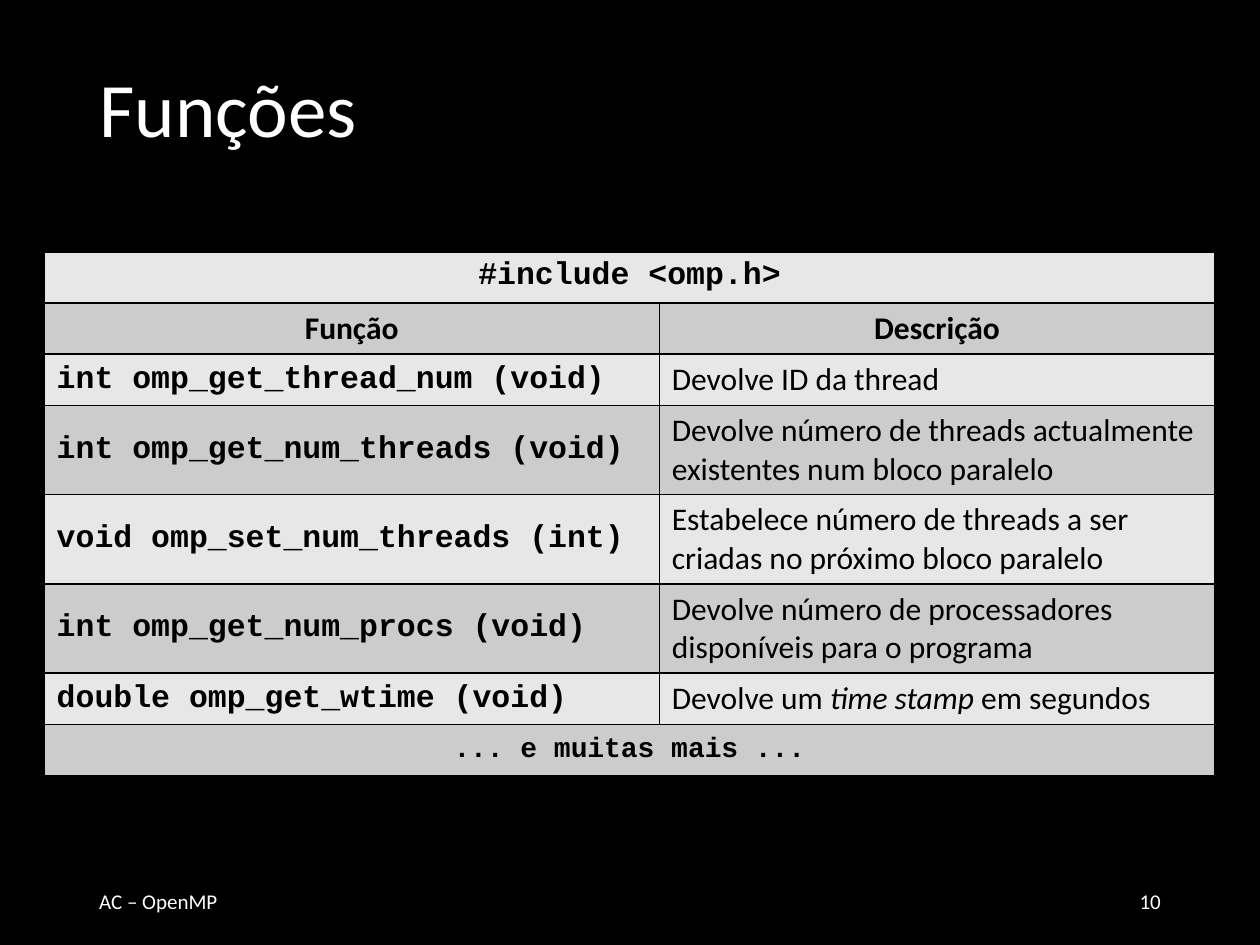
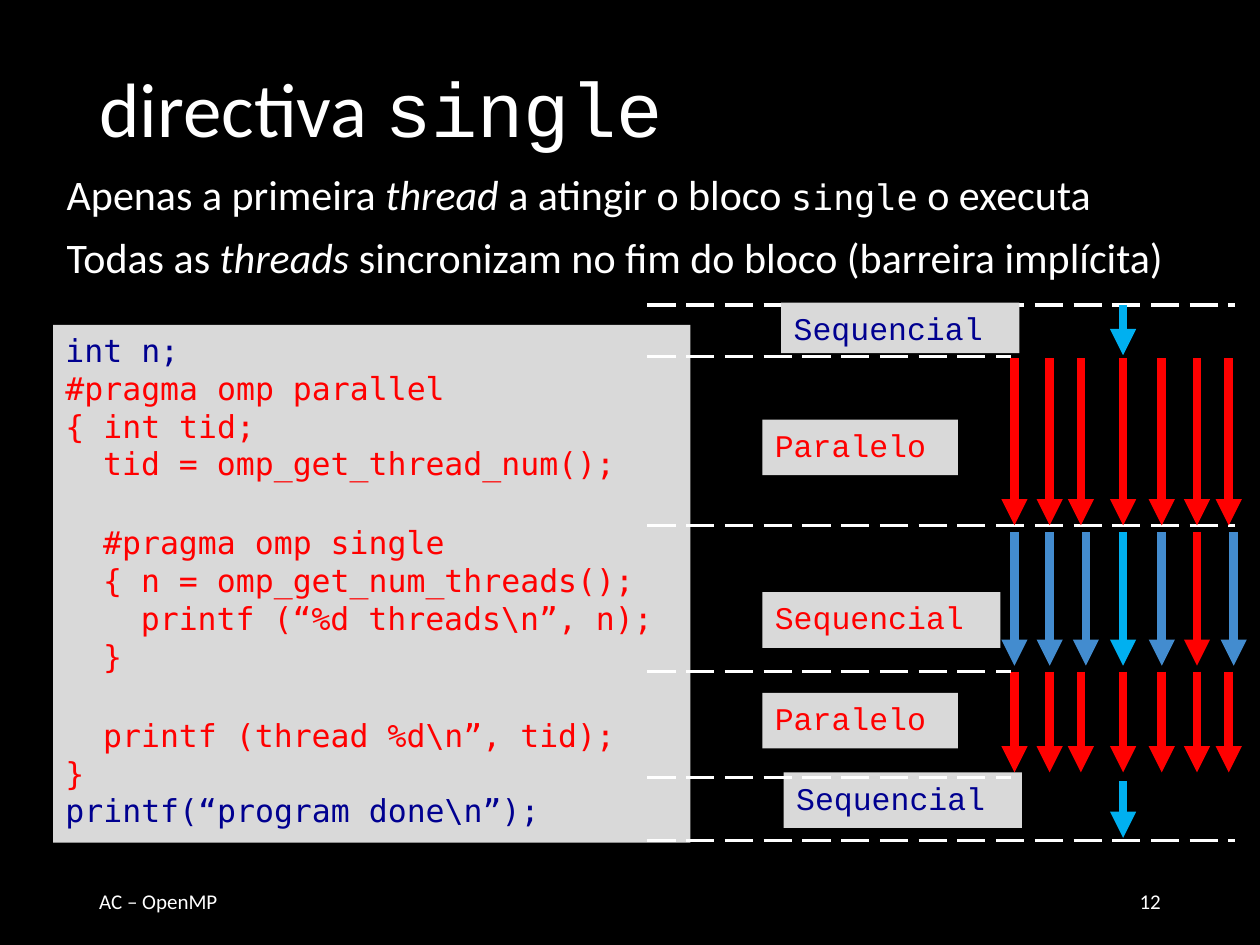
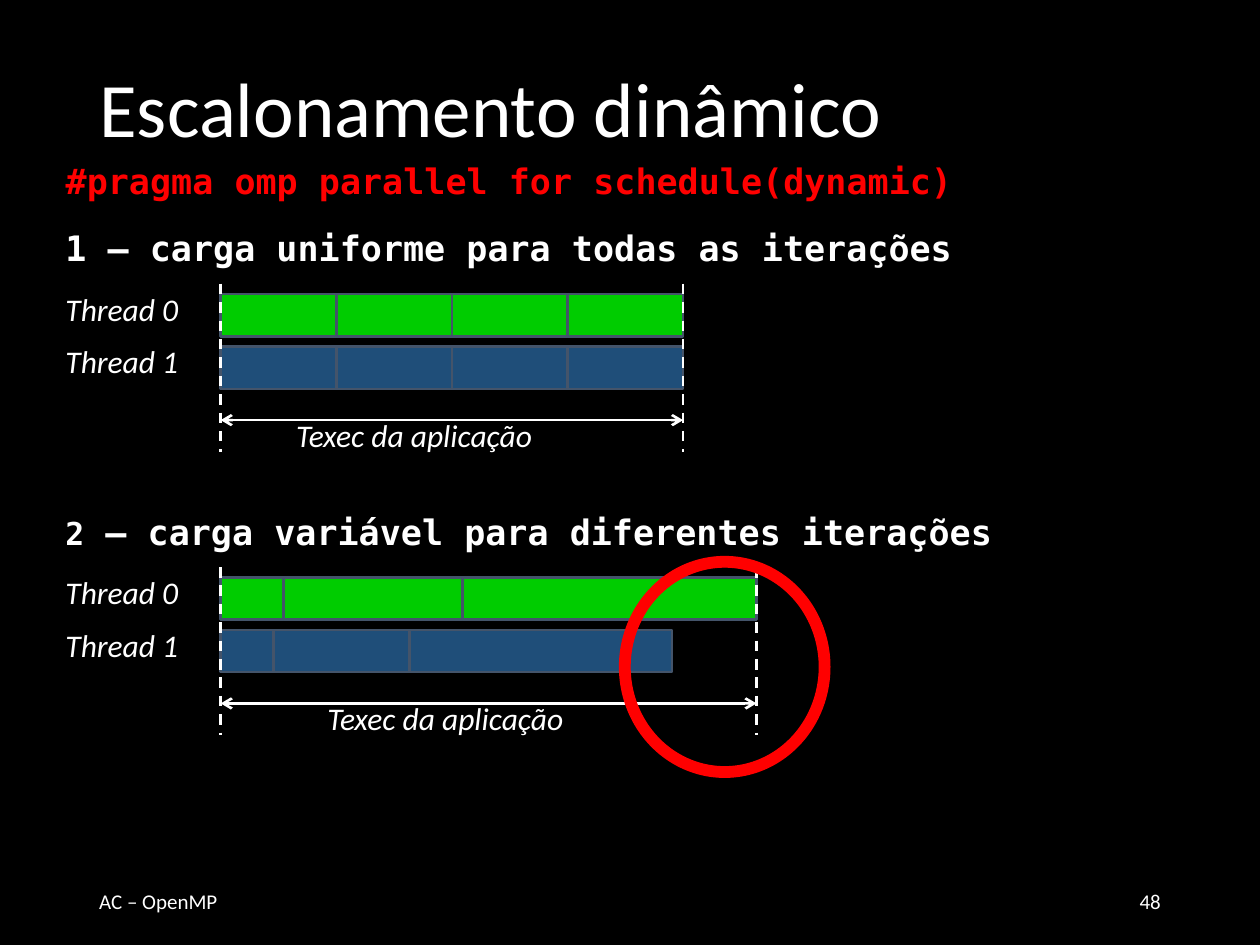
from dataclasses import dataclass
from itertools import accumulate
from typing import Optional

from lxml.etree import SubElement
from pptx import Presentation
from pptx.dml.color import RGBColor
from pptx.enum.dml import MSO_LINE
from pptx.enum.shapes import MSO_CONNECTOR, MSO_SHAPE
from pptx.enum.text import MSO_ANCHOR, MSO_AUTO_SIZE, PP_ALIGN
from pptx.oxml.ns import qn
from pptx.util import Cm, Pt

COLORS = {
    "black": "000000", "white": "FFFFFF", "red": "FF0000", "navy": "000090",
    "sky": "00B0F0", "blue": "438CCF", "panel": "D9D9D9", "light_row": "E7E7E7",
    "dark_row": "CCCCCC", "green": "00CC00", "deep_blue": "1F4E79", "slate": "44546A",
}
SANS, COURIER, MONO = "Calibri", "Courier New", "DejaVu Sans Mono"
TITLE_ONLY, TITLE_AND_BODY = 5, 1


@dataclass(frozen=True)
class Frame:
    """A rectangle in centimetres."""
    left: float
    top: float
    width: float
    height: float

    def lengths(self) -> tuple:
        """Return the four lengths for python-pptx."""
        return Cm(self.left), Cm(self.top), Cm(self.width), Cm(self.height)


@dataclass(frozen=True)
class Span:
    """A piece of text with one format."""
    text: str
    size: float = 18
    font: str = SANS
    color: str = "white"
    bold: bool = False
    italic: bool = False


@dataclass(frozen=True)
class CodeLine:
    """A line of code, its indent in characters and the gap above it."""
    text: str
    indent: int = 0
    gap: float = 0
    color: str = "red"


@dataclass(frozen=True)
class Phase:
    """A stretch of the program run, with its label and thread arrows."""
    label: Span
    label_frame: Frame
    top: float
    bottom: float
    arrows: tuple


@dataclass(frozen=True)
class Timeline:
    """Loads of two threads, with iteration widths in centimetres."""
    heading: tuple
    top: float
    caption_left: float
    loads: tuple


def rgb(name: str) -> RGBColor:
    """Look up a named colour."""
    return RGBColor.from_string(COLORS[name])


def write(para, *spans: Span) -> None:
    """Fill a paragraph with formatted spans."""
    para.text = spans[0].text
    for span in spans[1:]:
        para.add_run().text = span.text
    for run, span in zip(para.runs, spans):
        run.font.name = span.font
        run.font.size = Pt(span.size)
        run.font.bold = span.bold
        run.font.italic = span.italic
        run.font.color.rgb = rgb(span.color)


def set_margin(para, margin: float) -> None:
    """Indent a whole paragraph and drop its bullet."""
    properties = para._p.get_or_add_pPr()
    properties.set("marL", str(Cm(margin)))
    properties.set("indent", "0")
    SubElement(properties, qn("a:buNone"))


def place(shape, frame: Frame) -> None:
    """Move a placeholder to a frame."""
    shape.left, shape.top, shape.width, shape.height = frame.lengths()
    shape.text_frame.auto_size = MSO_AUTO_SIZE.NONE


def add_text(page, frame: Frame, *spans: Span, align=PP_ALIGN.LEFT, anchor=MSO_ANCHOR.TOP) -> None:
    """Add a wrapping one-paragraph text box."""
    text_frame = page.shapes.add_textbox(*frame.lengths()).text_frame
    text_frame.word_wrap = True
    text_frame.vertical_anchor = anchor
    para = text_frame.paragraphs[0]
    para.alignment = align
    write(para, *spans)


def add_box(page, frame: Frame, fill: str, outline: Optional[str] = None,
            weight: float = 1.5, kind=MSO_SHAPE.RECTANGLE):
    """Add a filled shape whose text starts at the top left."""
    box = page.shapes.add_shape(kind, *frame.lengths())
    box.shadow.inherit = False
    box.fill.solid()
    box.fill.fore_color.rgb = rgb(fill)
    if outline:
        box.line.color.rgb = rgb(outline)
        box.line.width = Pt(weight)
    else:
        box.line.fill.background()
    box.text_frame.word_wrap = True
    box.text_frame.vertical_anchor = MSO_ANCHOR.TOP
    box.text_frame.paragraphs[0].alignment = PP_ALIGN.LEFT
    return box


def add_line(page, start: tuple, end: tuple, color: str, weight: float,
             dash=None, head: Optional[str] = None, tail: Optional[str] = None) -> None:
    """Add a straight line with optional dashes and arrowheads."""
    points = [Cm(value) for value in start + end]
    connector = page.shapes.add_connector(MSO_CONNECTOR.STRAIGHT, *points)
    connector.line.color.rgb = rgb(color)
    connector.line.width = Pt(weight)
    if dash:
        connector.line.dash_style = dash
    properties = connector.element.spPr
    outline = properties.find(qn("a:ln"))
    for tag, arrow in (("a:headEnd", head), ("a:tailEnd", tail)):
        if arrow:
            SubElement(outline, qn(tag)).set("type", arrow)
    SubElement(properties, qn("a:effectLst"))


def add_page(deck, layout: int, number: int, *title: Span):
    """Add a slide with its title and footer."""
    page = deck.slides.add_slide(deck.slide_layouts[layout])
    place(page.shapes.title, Frame(1.75, 1.02, 21.9, 2.51))
    page.shapes.title.text_frame.vertical_anchor = MSO_ANCHOR.MIDDLE
    para = page.shapes.title.text_frame.paragraphs[0]
    para.alignment = PP_ALIGN.LEFT
    para.line_spacing = 0.9
    write(para, *title)
    for left, text, align in ((1.75, "AC – OpenMP", PP_ALIGN.LEFT),
                              (17.93, str(number), PP_ALIGN.RIGHT)):
        add_text(page, Frame(left, 17.65, 5.72, 1.02), Span(text, 12),
                 align=align, anchor=MSO_ANCHOR.MIDDLE)
    return page


def fill_body(page, frame: Frame, *lines: tuple) -> None:
    """Write lines of spans in the body placeholder."""
    body = page.placeholders[1]
    place(body, frame)
    body.text_frame.text = "\n".join("" for _ in lines)
    for para, spans in zip(body.text_frame.paragraphs, lines):
        para.line_spacing = 0.9
        para.space_before = Pt(10)
        set_margin(para, 0)
        write(para, *spans)


def format_cell(cell, fill: str, spans: tuple, centered: bool, anchor) -> None:
    """Write a table cell with thin black borders."""
    properties = cell._tc.get_or_add_tcPr()
    for side in ("a:lnL", "a:lnR", "a:lnT", "a:lnB"):
        border = SubElement(properties, qn(side), w=str(Pt(1)))
        solid = SubElement(border, qn("a:solidFill"))
        SubElement(solid, qn("a:srgbClr"), val=COLORS["black"])
    cell.fill.solid()
    cell.fill.fore_color.rgb = rgb(fill)
    cell.vertical_anchor = anchor
    if spans:
        para = cell.text_frame.paragraphs[0]
        para.alignment = PP_ALIGN.CENTER if centered else PP_ALIGN.LEFT
        write(para, *spans)


def build_functions(deck) -> None:
    """Build the table of library functions."""
    page = add_page(deck, TITLE_ONLY, 10, Span("Funções", 44))

    def code(text: str, size: float = 18) -> tuple:
        return (Span(text, size, COURIER, "black", bold=True),)

    def plain(text: str, **style) -> Span:
        return Span(text, color="black", **style)

    rows = [
        (code("#include <omp.h>"), ()),
        ((plain("Função", bold=True),), (plain("Descrição", bold=True),)),
        (code("int omp_get_thread_num (void)"), (plain("Devolve ID da thread"),)),
        (code("int omp_get_num_threads (void)"),
         (plain("Devolve número de threads actualmente existentes num bloco paralelo"),)),
        (code("void omp_set_num_threads (int)"),
         (plain("Estabelece número de threads a ser criadas no próximo bloco paralelo"),)),
        (code("int omp_get_num_procs (void)"),
         (plain("Devolve número de processadores disponíveis para o programa"),)),
        (code("double omp_get_wtime (void)"),
         (plain("Devolve um "), plain("time stamp ", italic=True), plain("em segundos"))),
        (code("... e muitas mais ...", 16), ()),
    ]
    tall_rows = range(3, 6)
    table = page.shapes.add_table(len(rows), 2, *Frame(0.89, 5.08, 23.6, 10.49).lengths()).table
    for column, width in zip(table.columns, (12.4, 11.2)):
        column.width = Cm(width)
    for index, row in enumerate(rows):
        table.rows[index].height = Cm(1.8 if index in tall_rows else 1.03)
        for column, spans in enumerate(row):
            middle = index > 1 and column == 0
            format_cell(table.cell(index, column), "dark_row" if index % 2 else "light_row",
                        spans, index < 2 or not row[1],
                        MSO_ANCHOR.MIDDLE if middle else MSO_ANCHOR.TOP)
        if not row[1]:
            table.cell(index, 0).merge(table.cell(index, 1))


def add_code(page, frame: Frame, lines: list) -> None:
    """Add a panel with a code listing."""
    character = 0.38
    text_frame = add_box(page, frame, "panel").text_frame
    text_frame.text = "\n".join(line.text for line in lines)
    for para, line in zip(text_frame.paragraphs, lines):
        para.alignment = PP_ALIGN.LEFT
        para.space_before = Pt(line.gap)
        set_margin(para, line.indent * character)
        write(para, Span(line.text, 18, MONO, line.color))


def build_single(deck) -> None:
    """Build the slide on the single directive."""
    page = add_page(deck, TITLE_AND_BODY, 12, Span("directiva ", 44), Span("single", 44, COURIER))
    fill_body(
        page, Frame(1.09, 3.38, 23.44, 2.74),
        (Span("Apenas a primeira ", 24), Span("thread", 24, italic=True),
         Span(" a atingir o bloco ", 24), Span("single", 20, MONO), Span(" o executa", 24)),
        (Span("Todas as ", 24), Span("threads ", 24, italic=True),
         Span("sincronizam no fim do bloco (barreira implícita)", 24)),
    )
    add_code(page, Frame(1.07, 6.55, 12.85, 10.44), [
        CodeLine("int n;", color="navy"),
        CodeLine("#pragma omp parallel"),
        CodeLine("{ int tid;"),
        CodeLine("tid = omp_get_thread_num();", 2),
        CodeLine("#pragma omp single", 2, 23.5),
        CodeLine("{ n = omp_get_num_threads();", 2),
        CodeLine(r"printf (“%d threads\n”, n);", 4),
        CodeLine("}", 2),
        CodeLine(r"printf (thread %d\n”, tid);", 2, 23.5),
        CodeLine("}"),
        CodeLine(r"printf(“program done\n”);", color="navy"),
    ])

    def label(text: str, color: str) -> Span:
        return Span(text, 18, COURIER, color)

    middle = 22.64
    running = (20.45, 21.16, 21.79, middle, 23.42, 24.13, 24.77)
    waiting = (20.45, 21.16, 21.89, middle, 23.42, 24.13, 24.87)
    alone = ((middle, "sky"),)
    together = tuple((x, "red") for x in running)
    states = ("blue",) * 3 + ("sky", "blue", "red", "blue")
    phases = [
        Phase(label("Sequencial", "navy"), Frame(15.75, 6.1, 4.8, 1.02), 6.15, 7.16, alone),
        Phase(label("Paralelo", "red"), Frame(15.37, 8.46, 3.94, 1.12), 7.22, 10.59, together),
        Phase(label("Sequencial", "red"), Frame(15.37, 11.94, 4.8, 1.12), 10.72, 13.42,
              tuple(zip(waiting, states))),
        Phase(label("Paralelo", "red"), Frame(15.37, 13.97, 3.94, 1.12), 13.54, 15.57, together),
        Phase(label("Sequencial", "navy"), Frame(15.8, 15.57, 4.8, 1.12), 15.75, 16.89, alone),
    ]

    def add_boundaries(right: float, heights: tuple) -> None:
        for height in heights:
            add_line(page, (13.05, height), (right, height), "white", 2, MSO_LINE.LONG_DASH)

    add_boundaries(24.89, (6.15, 10.59, 16.94))
    for phase in phases:
        box = add_box(page, phase.label_frame, "panel")
        write(box.text_frame.paragraphs[0], phase.label)
        for x, color in phase.arrows:
            add_line(page, (x, phase.top), (x, phase.bottom), color, 5, tail="triangle")
    add_boundaries(20.38, (7.19, 13.54, 15.67))


def add_timeline(page, timeline: Timeline) -> None:
    """Draw a heading, two rows of iterations and the run time."""
    start, top = 4.45, timeline.top
    end = start + max(sum(load) for load in timeline.loads)
    add_text(page, Frame(timeline.caption_left, top + 3.81, 6.78, 1.27),
             Span("Texec da aplicação", italic=True))
    add_text(page, Frame(1.07, top, 23.5, 1.47), *timeline.heading)
    for thread, (load, color) in enumerate(zip(timeline.loads, ("green", "deep_blue"))):
        row = top + thread * 1.06
        add_text(page, Frame(1.07, row + 1.27, 3.38, 1.27), Span(f"Thread {thread}", italic=True))
        for left, width in zip(accumulate(load, initial=start), load):
            add_box(page, Frame(left, row + 1.48, width, 0.85), color, "slate")
    for x in (start, end):
        add_line(page, (x, top + 1.27), (x, top + 4.66), "white", 1.5, MSO_LINE.DASH)
    add_line(page, (start, top + 4.02), (end, top + 4.02), "white", 1.5, head="arrow", tail="arrow")


def build_scheduling(deck) -> None:
    """Build the slide on dynamic scheduling."""
    page = add_page(deck, TITLE_AND_BODY, 48, Span("Escalonamento dinâmico", 44))
    fill_body(page, Frame(1.07, 3.18, 23.5, 1.47),
              (Span("#pragma omp parallel for schedule(dynamic)", 20, MONO, "red", bold=True),))
    even_load = (2.33,) * 4
    timelines = [
        Timeline((Span("1 – carga uniforme para todas as iterações", 20, MONO, bold=True),),
                 4.45, 5.72, (even_load, even_load)),
        Timeline((Span("2", 18, MONO, bold=True),
                  Span(" – carga variável para diferentes iterações", 20, MONO, bold=True)),
                 10.16, 6.35, ((1.27, 3.6, 5.93), (1.06, 2.75, 5.29))),
    ]
    for timeline in timelines:
        add_timeline(page, timeline)
    ring = add_box(page, Frame(12.49, 11.22, 4.24, 4.45), "red", "red", 0.75, MSO_SHAPE.DONUT)
    ring.adjustments[0] = 0.05


def main() -> None:
    """Build the deck and save it."""
    deck = Presentation()
    deck.slide_width, deck.slide_height = Cm(25.4), Cm(19.05)
    background = deck.slide_master.background.fill
    background.solid()
    background.fore_color.rgb = rgb("black")
    build_functions(deck)
    build_single(deck)
    build_scheduling(deck)
    deck.save("out.pptx")


if __name__ == "__main__":
    main()
